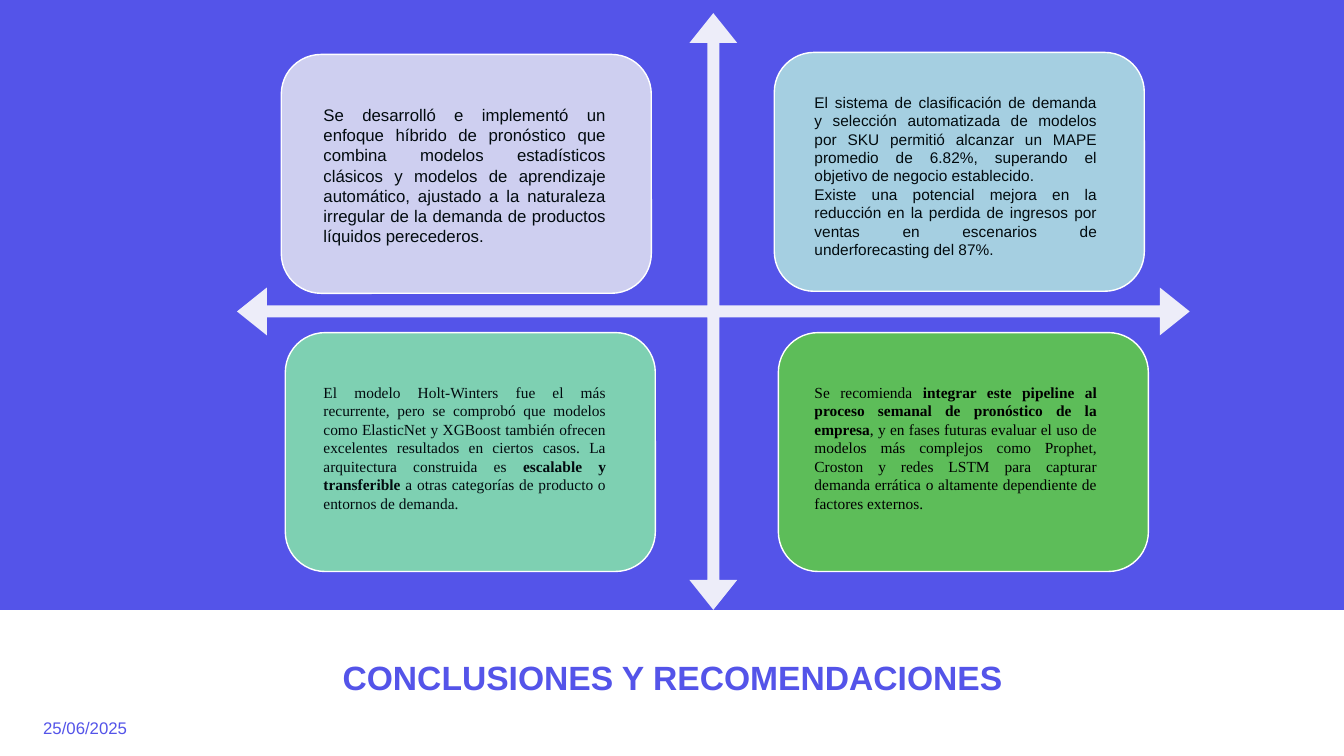
from pptx import Presentation
from pptx.dml.color import RGBColor
from pptx.enum.shapes import MSO_SHAPE
from pptx.enum.text import MSO_ANCHOR, PP_ALIGN
from pptx.util import Inches, Pt

WHITE = RGBColor(0xFF, 0xFF, 0xFF)
BLACK = RGBColor(0x00, 0x00, 0x00)
INK = RGBColor(0x02, 0x0B, 0x0F)
BLUE = RGBColor(0x54, 0x54, 0xE9)
PALE = RGBColor(0xED, 0xED, 0xF9)
LILAC = RGBColor(0xCE, 0xCF, 0xF0)
SKY = RGBColor(0xA5, 0xCF, 0xE1)
MINT = RGBColor(0x7E, 0xD0, 0xB2)
GREEN = RGBColor(0x5D, 0xBD, 0x59)

SANS = "Arial"
SERIF = "Times New Roman"
CARD = (3.67, 2.37)
NOTE_WIDTH = 3

# Each paragraph is a list of (text, bold) runs.
HYBRID = [[(
    "Se desarrolló e implementó un enfoque híbrido de pronóstico que combina "
    "modelos estadísticos clásicos y modelos de aprendizaje automático, "
    "ajustado a la naturaleza irregular de la demanda de productos líquidos "
    "perecederos.", False)]]
RESULT = [
    [("El sistema de clasificación de demanda y selección automatizada de "
      "modelos por SKU permitió alcanzar un MAPE promedio de 6.82%, superando "
      "el objetivo de negocio establecido.", False)],
    [("Existe una potencial mejora en la reducción en la perdida de ingresos "
      "por ventas en escenarios de underforecasting del 87%.", False)],
]
MODELS = [[
    ("El modelo Holt-Winters fue el más recurrente, pero se comprobó que "
     "modelos como ElasticNet y XGBoost también ofrecen excelentes resultados "
     "en ciertos casos. La arquitectura construida es ", False),
    ("escalable y transferible", True),
    (" a otras categorías de producto o entornos de demanda.", False),
]]
ADVICE = [[
    ("Se recomienda ", False),
    ("integrar este pipeline al proceso semanal de pronóstico de la empresa",
     True),
    (", y en fases futuras evaluar el uso de modelos más complejos como "
     "Prophet, Croston y redes LSTM para capturar demanda errática o "
     "altamente dependiente de factores externos.", False),
]]

# Card corner, card fill, note corner, note height, font, size, colour, text
QUADS = [
    ((2.79, 0.54), LILAC, (3.11, 0.99), 1.51, SANS, 12, INK, HYBRID),
    ((7.68, 0.52), SKY, (7.98, 0.87), 1.77, SANS, 11, INK, RESULT),
    ((2.83, 3.3), MINT, (3.11, 3.75), 1.4, SERIF, 11, INK, MODELS),
    ((7.72, 3.3), GREEN, (7.98, 3.75), 1.4, SERIF, 11, BLACK, ADVICE),
]


def add_block(slide, kind, box, fill, edge=None):
    block = slide.shapes.add_shape(kind, *map(Inches, box))
    block.shadow.inherit = False
    block.fill.solid()
    block.fill.fore_color.rgb = fill
    if edge is None:
        block.line.fill.background()
    else:
        block.line.color.rgb = edge
        block.line.width = Pt(1)
    return block


def add_run(para, text, font, size, color, bold=False):
    run = para.add_run()
    run.text = text
    run.font.name = font
    run.font.size = Pt(size)
    run.font.color.rgb = color
    run.font.bold = bold


def add_note(slide, box, paras, font, size, color, align):
    frame = slide.shapes.add_textbox(*map(Inches, box)).text_frame
    frame.word_wrap = True
    for index, runs in enumerate(paras):
        para = frame.add_paragraph() if index else frame.paragraphs[0]
        para.alignment = align
        for text, bold in runs:
            add_run(para, text, font, size, color, bold)
    return frame


def set_title(slide, text):
    title = slide.shapes.title
    title.left, title.top = Inches(1.11), Inches(6.47)
    title.width, title.height = Inches(11.12), Inches(0.49)
    frame = title.text_frame
    frame.word_wrap = True
    frame.vertical_anchor = MSO_ANCHOR.MIDDLE
    para = frame.paragraphs[0]
    para.alignment = PP_ALIGN.CENTER
    add_run(para, text, SANS, 24, BLUE, True)


def add_cross(slide):
    cross = add_block(slide, MSO_SHAPE.QUAD_ARROW,
                      (2.35, 0.13, 9.45, 5.92), PALE)
    for index, share in enumerate((0.02, 0.04, 0.05)):
        cross.adjustments[index] = share


def main():
    deck = Presentation()
    deck.slide_width, deck.slide_height = Inches(13.33), Inches(7.5)
    slide = deck.slides.add_slide(deck.slide_layouts[5])

    add_block(slide, MSO_SHAPE.RECTANGLE, (-0.05, -0.05, 13.49, 6.1), BLUE)
    set_title(slide, "CONCLUSIONES Y RECOMENDACIONES")
    date = add_note(slide, (0.33, 7.09, 1.56, 0.27), [[("25/06/2025", False)]],
                    SANS, 12, BLUE, PP_ALIGN.LEFT)
    date.vertical_anchor = MSO_ANCHOR.MIDDLE

    add_cross(slide)
    for corner, fill, spot, height, font, size, color, paras in QUADS:
        add_block(slide, MSO_SHAPE.ROUNDED_RECTANGLE, corner + CARD,
                  fill, WHITE)
        add_note(slide, spot + (NOTE_WIDTH, height), paras,
                 font, size, color, PP_ALIGN.JUSTIFY)

    deck.save("out.pptx")


if __name__ == "__main__":
    main()
